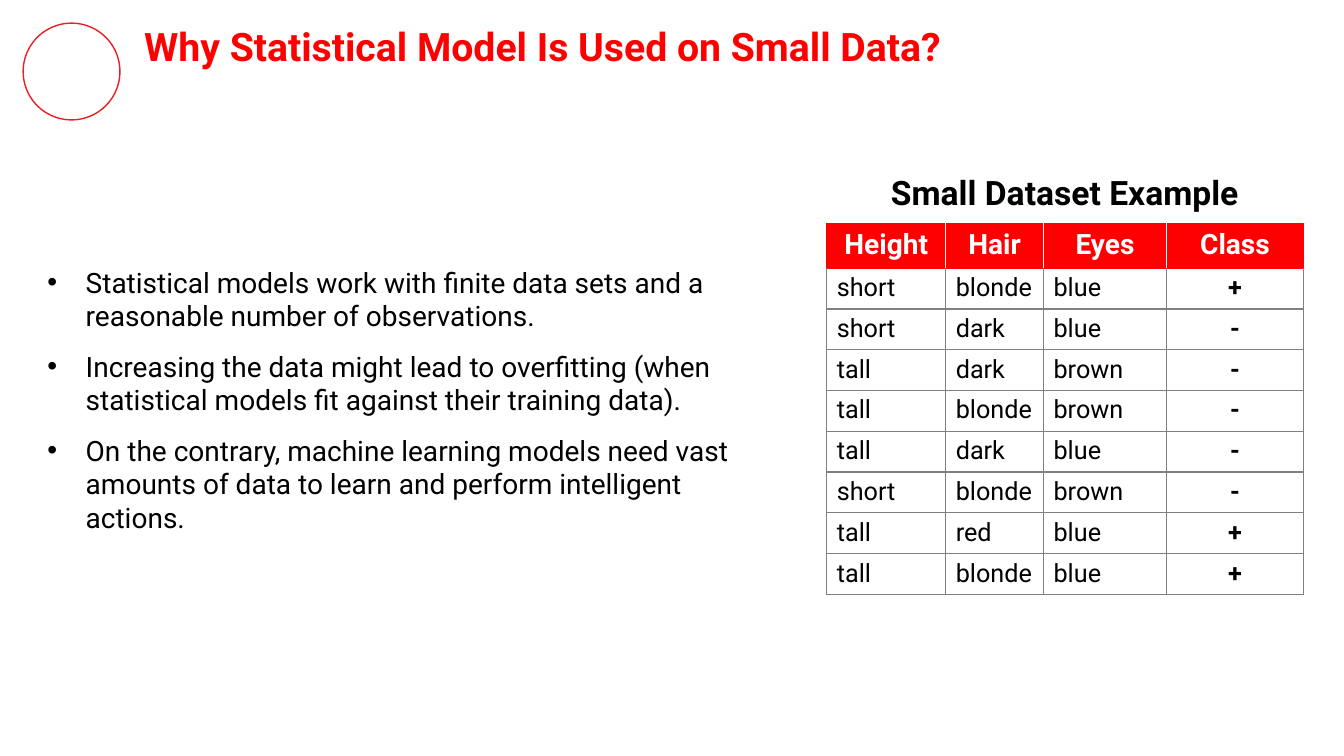
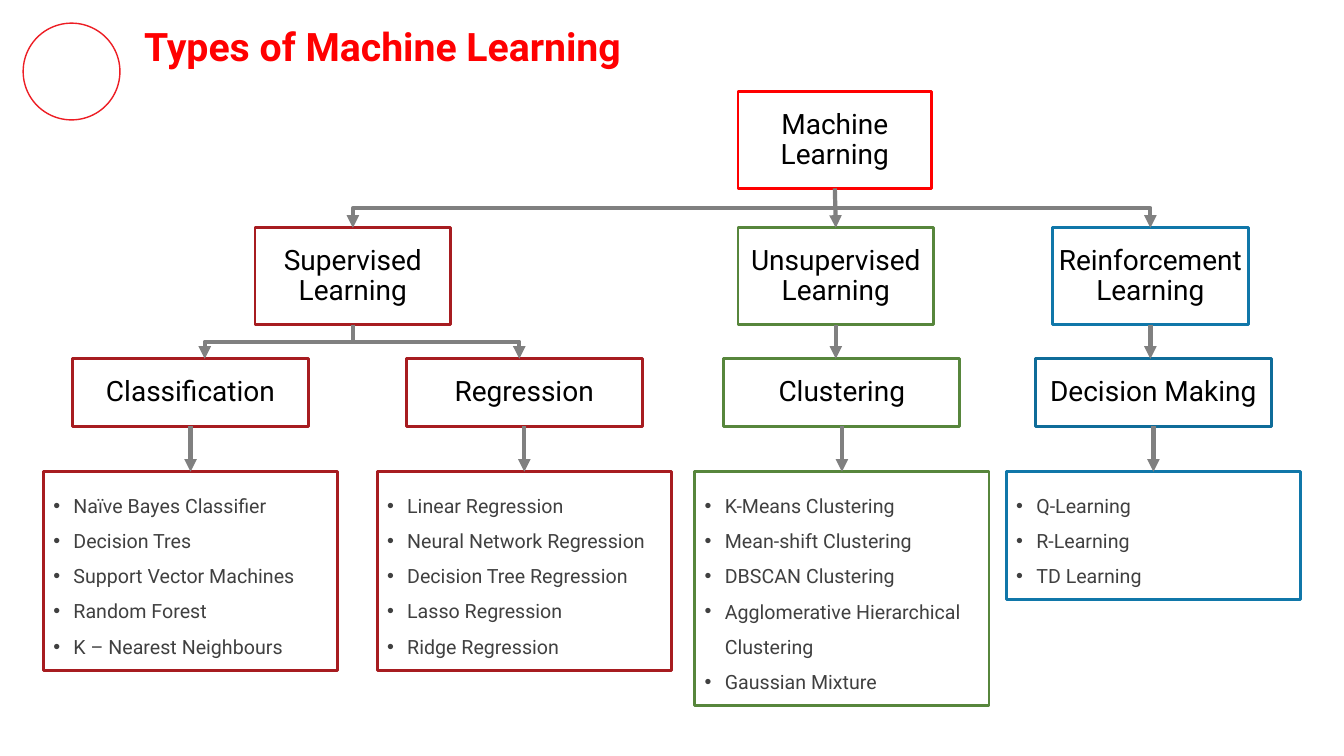
from lxml.etree import SubElement
from pptx import Presentation
from pptx.dml.color import RGBColor
from pptx.enum.shapes import MSO_CONNECTOR as CONN, MSO_SHAPE as SHAPE
from pptx.enum.text import MSO_ANCHOR as ANCHOR, MSO_AUTO_SIZE as AUTO, PP_ALIGN as ALIGN
from pptx.oxml.ns import qn
from pptx.util import Inches, Pt

FONT = "Roboto"
TITLE_RED = RGBColor(0xFF, 0x00, 0x01)
RED = RGBColor(0xFF, 0x00, 0x00)
RING_RED = RGBColor(0xED, 0x1D, 0x24)
DARK_RED = RGBColor(0xA7, 0x1C, 0x20)
GREEN = RGBColor(0x57, 0x86, 0x3C)
BLUE = RGBColor(0x10, 0x77, 0xA9)
DARK_BLUE = RGBColor(0x0F, 0x6C, 0x99)
GREY = RGBColor(0x80, 0x80, 0x80)
DARK_GREY = RGBColor(0x40, 0x40, 0x40)
BLACK = RGBColor(0x00, 0x00, 0x00)
WHITE = RGBColor(0xFF, 0xFF, 0xFF)

TITLE_FONT = dict(size=28, bold=True, color=TITLE_RED)
HEADING_FONT = dict(size=24, bold=True, color=BLACK)
BODY_FONT = dict(size=20, color=BLACK)
LIST_FONT = dict(size=14, color=DARK_GREY)
HEADER_FONT = dict(size=20, bold=True, color=WHITE)
CELL_FONT = dict(size=18, bold=False, color=BLACK)
CLASS_FONT = dict(CELL_FONT, bold=True)

REASONS = [
    "Statistical models work with finite data sets and a reasonable number of observations.",
    "Increasing the data might lead to overfitting (when statistical models fit against "
    "their training data).",
    "On the contrary, machine learning models need vast amounts of data to learn and "
    "perform intelligent actions.",
]

DATASET = [
    ("Height", "Hair", "Eyes", "Class"),
    ("short", "blonde", "blue", "+"),
    ("short", "dark", "blue", "-"),
    ("tall", "dark", "brown", "-"),
    ("tall", "blonde", "brown", "-"),
    ("tall", "dark", "blue", "-"),
    ("short", "blonde", "brown", "-"),
    ("tall", "red", "blue", "+"),
    ("tall", "blonde", "blue", "+"),
]

# Category: name, centre, colour, tasks.
# Task: name, centre, arrow end, box colour, list lines, methods.
CATEGORIES = [
    ("Supervised Learning", 3.5, DARK_RED, [
        ("Classification", 1.89, 2.03, DARK_RED, 5,
         ["Naïve Bayes Classifier", "Decision Tres", "Support Vector Machines",
          "Random Forest", "K – Nearest Neighbours"]),
        ("Regression", 5.2, 5.15, DARK_RED, 5,
         ["Linear Regression", "Neural Network Regression", "Decision Tree Regression",
          "Lasso Regression", "Ridge Regression"]),
    ]),
    ("Unsupervised Learning", 8.29, GREEN, [
        ("Clustering", 8.35, 8.29, GREEN, 6,
         ["K-Means Clustering", "Mean-shift Clustering", "DBSCAN Clustering",
          "Agglomerative Hierarchical Clustering", "Gaussian Mixture"]),
    ]),
    ("Reinforcement Learning", 11.41, BLUE, [
        ("Decision Making", 11.44, 11.41, DARK_BLUE, 3,
         ["Q-Learning", "R-Learning", "TD Learning"]),
    ]),
]

ROOT_X = 8.28
ROOT_TOP, CATEGORY_TOP, TASK_TOP, LIST_TOP = 0.91, 2.26, 3.56, 4.68
BOX_H, TASK_H = 0.96, 0.67


def set_attrs(obj, **values):
    for name, value in values.items():
        setattr(obj, name, value)


def place(sp, left, top, width, height):
    set_attrs(sp, left=Inches(left), top=Inches(top),
              width=Inches(width), height=Inches(height))


def set_frame(tf, inset, anchor=ANCHOR.TOP):
    sides = ("left", "top", "right", "bottom")
    set_attrs(tf, word_wrap=True, auto_size=AUTO.NONE, vertical_anchor=anchor,
              **{f"margin_{side}": Inches(inset) for side in sides})


def set_font(font, size, color, bold=False):
    set_attrs(font, name=FONT, size=Pt(size), bold=bold)
    font.color.rgb = color


def add_bullet(p, indent, hanging):
    pPr = p._p.get_or_add_pPr()
    pPr.set("marL", str(Inches(indent)))
    pPr.set("indent", str(-Inches(hanging)))
    SubElement(pPr, qn("a:buFont"), typeface="Arial")
    SubElement(pPr, qn("a:buChar"), char="•")


def write(tf, lines, font, bullet=None, **paragraph_format):
    """Fill a text frame, one paragraph a line; bullet is (indent, hanging)."""
    for i, line in enumerate(lines):
        p = tf.add_paragraph() if i else tf.paragraphs[0]
        set_attrs(p, space_before=Pt(0), **paragraph_format)
        if bullet:
            add_bullet(p, *bullet)
        r = p.add_run()
        r.text = line
        set_font(r.font, **font)


def add_ring(prs, s):
    """Draw the badge ring on a slide and move it to the master."""
    ring = s.shapes.add_shape(SHAPE.OVAL, *map(Inches, (0.23, 0.23, 0.96, 0.96)))
    ring.shadow.inherit = False
    ring.fill.background()
    ring.line.color.rgb = RING_RED
    ring.line.width = Pt(1)
    prs.slide_master.shapes._spTree.append(ring._element)


def add_slide(prs, layout, title):
    s = prs.slides.add_slide(prs.slide_layouts.get_by_name(layout))
    place(s.shapes.title, 1.33, 0.12, 11.18, 0.67)
    tf = s.shapes.title.text_frame
    set_frame(tf, 0.1)
    write(tf, [title], TITLE_FONT, alignment=ALIGN.LEFT)
    return s


def add_box(s, center, top, width, height, color):
    sp = s.shapes.add_shape(SHAPE.RECTANGLE, *map(
        Inches, (center - width / 2, top, width, height)))
    sp.shadow.inherit = False
    sp.fill.solid()
    sp.fill.fore_color.rgb = WHITE
    sp.line.color.rgb = color
    sp.line.width = Pt(2)
    return sp.text_frame


def add_label(s, text, center, top, width, height, color):
    tf = add_box(s, center, top, width, height, color)
    set_frame(tf, 0.01, ANCHOR.MIDDLE)
    write(tf, [text], BODY_FONT, alignment=ALIGN.CENTER, line_spacing=0.9)


def add_list(s, methods, center, line_count, color):
    tf = add_box(s, center, LIST_TOP, 2.92, 0.22 + 0.35 * line_count, color)
    set_frame(tf, 0.1)
    write(tf, methods, LIST_FONT, bullet=(0.2, 0.2),
          alignment=ALIGN.LEFT, line_spacing=1.5)


def add_arrow(s, x1, y1, x2, y2):
    """Join two levels downwards, with an elbow if the ends are far apart."""
    dx, dy = x2 - x1, y2 - y1
    if abs(dx) < 0.1:
        c = s.shapes.add_connector(CONN.STRAIGHT, *map(Inches, (x1, y1, x2, y2)))
    else:
        # An elbow starts sideways, so it is laid flat and turned a quarter.
        cx, cy = (x1 + x2) / 2, (y1 + y2) / 2
        half_w, half_h = (dy / 2 if dx > 0 else -dy / 2), abs(dx) / 2
        c = s.shapes.add_connector(CONN.ELBOW, *map(
            Inches, (cx + half_w, cy - half_h, cx - half_w, cy + half_h)))
        c._element.spPr.xfrm.set("rot", str((270 if dx > 0 else 90) * 60000))
    c.line.color.rgb = GREY
    c.line.width = Pt(3)
    SubElement(c.line._get_or_add_ln(), qn("a:tailEnd"), type="triangle")
    SubElement(c._element.spPr, qn("a:effectLst"))


def set_borders(cell, **colors):
    tcPr = cell._tc.get_or_add_tcPr()
    for side in "LRTB":
        ln = SubElement(tcPr, qn(f"a:ln{side}"), w=str(Pt(1)))
        fill = SubElement(ln, qn("a:solidFill"))
        SubElement(fill, qn("a:srgbClr"), val=str(colors[side]))


def add_dataset_table(s, left, top, widths, height, header_height):
    rows, cols = len(DATASET), len(widths)
    table = s.shapes.add_table(rows, cols, *map(
        Inches, (left, top, sum(widths), height))).table
    set_attrs(table, first_row=False, horz_banding=False)
    for col, width in zip(table.columns, widths):
        col.width = Inches(width)
    for i, row in enumerate(table.rows):
        row.height = Inches((height - header_height) / (rows - 1) if i else header_height)
        for j, cell in enumerate(row.cells):
            last = j == cols - 1
            if i:
                set_borders(cell, L=GREY, R=GREY, T=GREY if i > 1 else RED, B=GREY)
            else:
                set_borders(cell, L=WHITE if j else RED, R=RED if last else WHITE,
                            T=RED, B=RED)
            cell.fill.solid()
            cell.fill.fore_color.rgb = WHITE if i else RED
            font = HEADER_FONT if i == 0 else CLASS_FONT if last else CELL_FONT
            write(cell.text_frame, [DATASET[i][j]], font,
                  alignment=ALIGN.CENTER if last or i == 0 else ALIGN.LEFT)


def build_small_data(prs):
    s = add_slide(prs, "Title and Content", "Why Statistical Model Is Used on Small Data?")
    add_ring(prs, s)
    body = s.placeholders[1]
    place(body, 0.25, 2.53, 7.65, 3.06)
    set_frame(body.text_frame, 0.1)
    write(body.text_frame, REASONS, BODY_FONT, bullet=(0.5, 0.38), space_after=Pt(12))
    add_dataset_table(s, 8.2, 2.22, (1.18, 0.97, 1.22, 1.36), 3.68, 0.44)
    tf = s.shapes.add_textbox(*map(Inches, (8.2, 1.41, 4.72, 0.81))).text_frame
    set_frame(tf, 0.1)
    write(tf, ["Small Dataset Example"], HEADING_FONT,
          alignment=ALIGN.CENTER, line_spacing=1.5)


def build_learning_types(prs):
    s = add_slide(prs, "Title Only", "Types of Machine Learning")
    add_label(s, "Machine Learning", ROOT_X, ROOT_TOP, 1.92, BOX_H, RED)
    for category, category_x, color, tasks in CATEGORIES:
        add_label(s, category, category_x, CATEGORY_TOP, 1.94, BOX_H, color)
        add_arrow(s, ROOT_X, ROOT_TOP + BOX_H, category_x, CATEGORY_TOP)
        for task, x, arrow_x, box_color, line_count, methods in tasks:
            add_label(s, task, x, TASK_TOP, 2.34, TASK_H, box_color)
            add_list(s, methods, x, line_count, color)
            add_arrow(s, category_x, CATEGORY_TOP + BOX_H, arrow_x, TASK_TOP)
            add_arrow(s, x, TASK_TOP + TASK_H, x, LIST_TOP)


def main():
    prs = Presentation()
    set_attrs(prs, slide_width=Inches(13.33), slide_height=Inches(7.5))
    build_small_data(prs)
    build_learning_types(prs)
    prs.save("out.pptx")


if __name__ == "__main__":
    main()
